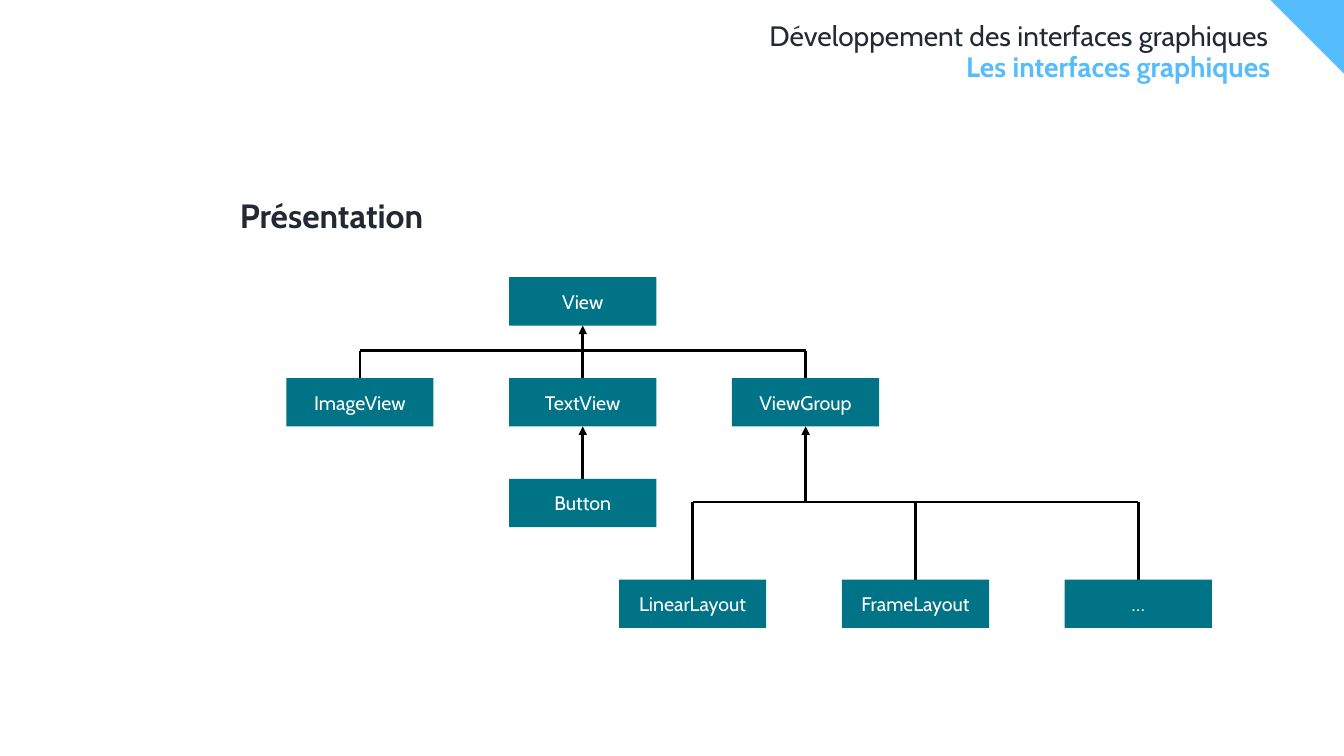
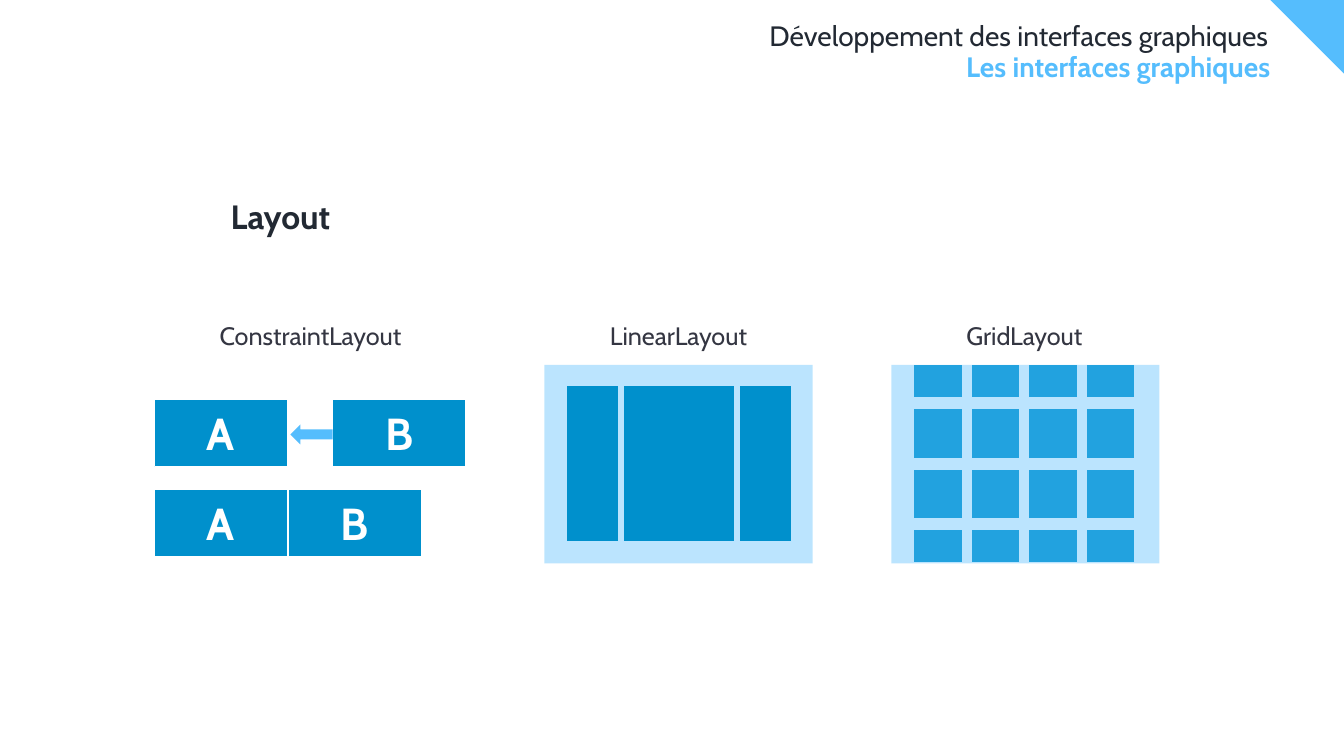
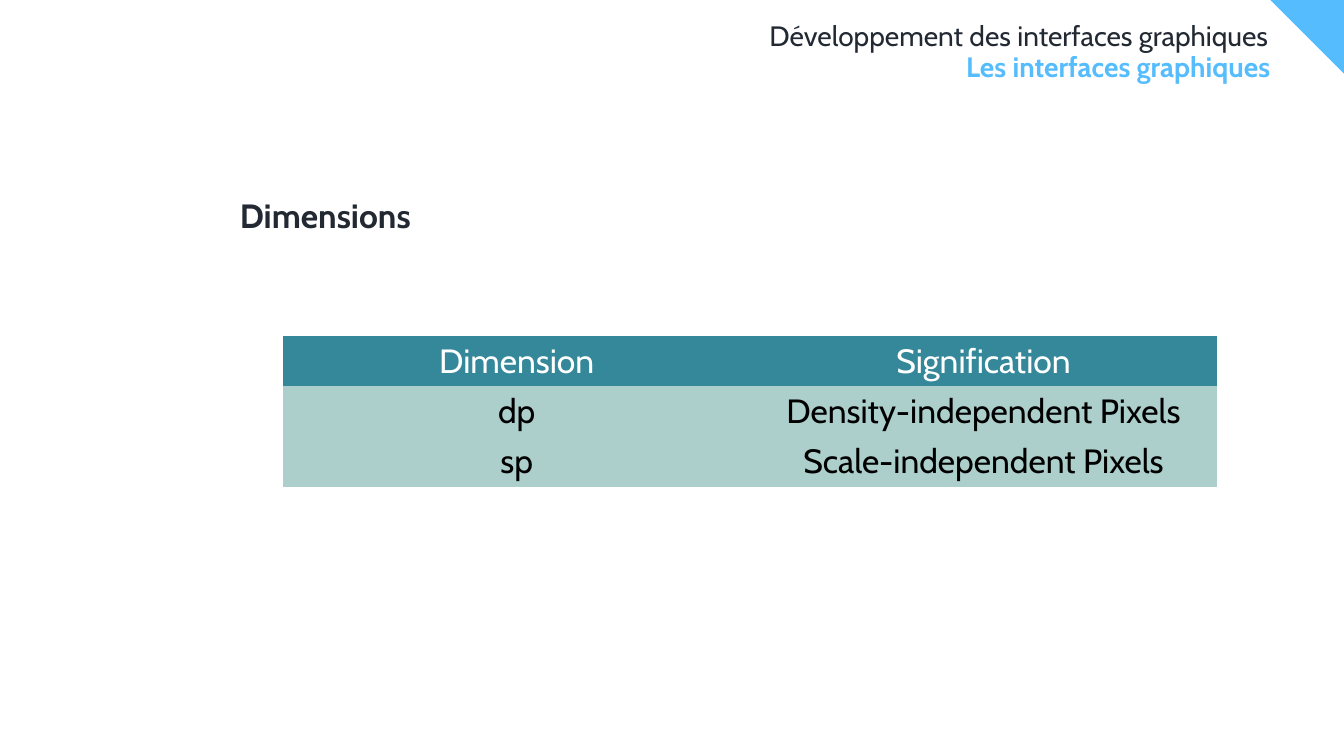
from itertools import accumulate

from lxml.etree import SubElement
from pptx import Presentation
from pptx.dml.color import RGBColor
from pptx.enum.shapes import MSO_CONNECTOR as Connector, MSO_SHAPE as Shape
from pptx.enum.text import MSO_ANCHOR as Anchor, PP_ALIGN as Align
from pptx.oxml.ns import qn
from pptx.util import Inches, Pt

FONT = "Cabin"
INK = "222933"
LABEL = "343642"
SKY = "55BDFD"
BLUE = "0090CC"
TEAL = "007386"
HEADER_FILL = "348899"
ROW_FILL = "ACCFCC"
WHITE = "FFFFFF"
BLACK = "000000"
PLAIN_TABLE = "{2D5ABB26-0587-4C30-8999-92F81FD0307C}"

NODE_WIDTH = 1.46
NODE_HEIGHT = 0.48
NODE_PITCH = 2.21


def paint(fill, color, alpha=None):
    fill.solid()
    fill.fore_color.rgb = RGBColor.from_string(color)
    if alpha is not None:
        value = fill._xPr.find(qn("a:solidFill"))[0]
        SubElement(value, qn("a:alpha")).set("val", str(alpha * 1000))


def write(frame, text, size, color, align=Align.LEFT, bold=False, spacing=None):
    para = frame.paragraphs[0]
    para.text = text
    para.alignment = align
    para.line_spacing = spacing
    para.font.name = FONT
    para.font.size = Pt(size)
    para.font.bold = bold
    paint(para.font.fill, color)


def add_text(page, at, text, size, color, align=Align.LEFT, bold=False,
             spacing=None, anchor=Anchor.TOP, inset=None):
    frame = page.shapes.add_textbox(*map(Inches, at)).text_frame
    frame.word_wrap = True
    frame.vertical_anchor = anchor
    if inset is not None:
        frame.margin_left = frame.margin_right = Inches(inset)
        frame.margin_top = frame.margin_bottom = Inches(inset)
    write(frame, text, size, color, align, bold, spacing)


def add_box(page, at, color, kind=Shape.FLOWCHART_PROCESS, alpha=None, border=None):
    box = page.shapes.add_shape(kind, *map(Inches, at))
    box.shadow.inherit = False
    paint(box.fill, color, alpha)
    if border:
        paint(box.line.fill, border)
        box.line.width = Pt(1)
    else:
        box.line.fill.background()
    return box


def add_text_box(page, at, color, text, size, kind=Shape.FLOWCHART_PROCESS,
                 bold=False, border=None):
    frame = add_box(page, at, color, kind, border=border).text_frame
    frame.vertical_anchor = Anchor.MIDDLE
    write(frame, text, size, WHITE, Align.CENTER, bold)


def add_line(page, start, end, arrow=False):
    line = page.shapes.add_connector(Connector.STRAIGHT, *map(Inches, start + end))
    paint(line.line.fill, BLACK)
    line.line.width = Pt(2)
    if arrow:
        SubElement(line.line._get_or_add_ln(), qn("a:tailEnd")).set("type", "triangle")
    SubElement(line._element.spPr, qn("a:effectLst"))


def add_page(deck, heading, left=2.28, top=1.93):
    page = deck.slides.add_slide(deck.slide_layouts[6])
    corner = page.shapes.build_freeform(Inches(12.6), 0, 1)
    corner.add_line_segments([(Inches(13.33), 0), (Inches(13.33), Inches(0.73))])
    triangle = corner.convert_to_shape()
    triangle.shadow.inherit = False
    paint(triangle.fill, SKY)
    triangle.line.fill.background()
    add_text(page, (0.37, 0.22, 12.21, 0.31), "Développement des interfaces graphiques",
             20, INK, Align.RIGHT, spacing=0.9, inset=0)
    add_text(page, (0.37, 0.53, 12.23, 0.43), "Les interfaces graphiques",
             20, SKY, Align.RIGHT, True, 0.9, inset=0)
    add_text(page, (left, top, 10.32, 0.5), heading, 24, INK, bold=True, spacing=0.9)
    return page


def add_node(page, center, top, name):
    at = (center - NODE_WIDTH / 2, top, NODE_WIDTH, NODE_HEIGHT)
    add_text_box(page, at, TEAL, name, 14, Shape.RECTANGLE)


def add_branch(page, parent, parent_bottom, centers, bar, children_top):
    add_line(page, (centers[0], bar), (centers[-1], bar))
    for center in centers:
        add_line(page, (center, bar), (center, children_top))
    add_line(page, (parent, bar), (parent, parent_bottom), True)


def build_hierarchy(deck):
    page = add_page(deck, "Présentation")
    uppers = [3.57 + NODE_PITCH * index for index in range(3)]
    lowers = [6.87 + NODE_PITCH * index for index in range(3)]
    middle, right = uppers[1:]
    view_top, widget_top, button_top, layout_top = 2.75, 3.75, 4.75, 5.75
    widget_bottom = widget_top + NODE_HEIGHT
    add_branch(page, middle, view_top + NODE_HEIGHT, uppers, 3.48, widget_top)
    add_branch(page, right, widget_bottom, lowers, 4.98, layout_top)
    add_line(page, (middle, button_top), (middle, widget_bottom), True)
    add_node(page, middle, view_top, "View")
    add_node(page, middle, button_top, "Button")
    for center, name in zip(uppers, ("ImageView", "TextView", "ViewGroup")):
        add_node(page, center, widget_top, name)
    for center, name in zip(lowers, ("LinearLayout", "FrameLayout", "…")):
        add_node(page, center, layout_top, name)


def add_panel(page, left):
    add_box(page, (left, 3.62, 2.66, 1.97), SKY, alpha=40)


def starts(first, sizes, gap):
    return accumulate((size + gap for size in sizes[:-1]), initial=first)


def draw_constraint_layout(page):
    for left, top, letter in ((1.53, 3.96, "A"), (3.3, 3.96, "B"),
                              (1.53, 4.85, "A"), (2.86, 4.85, "B")):
        add_text_box(page, (left, top, 1.32, 0.67), BLUE, letter, 32,
                     bold=True, border=WHITE)
    add_box(page, (2.88, 4.21, 0.42, 0.2), SKY, Shape.LEFT_ARROW)


def draw_linear_layout(page):
    add_panel(page, 5.4)
    widths = (0.51, 1.09, 0.51)
    for left, width in zip(starts(5.62, widths, 0.06), widths):
        add_box(page, (left, 3.83, width, 1.54), BLUE)


def draw_grid_layout(page):
    heights = (0.32, 0.48, 0.48, 0.32)
    for top, height in zip(starts(3.62, heights, 0.12), heights):
        for column in range(4):
            add_box(page, (9.07 + 0.57 * column, top, 0.47, height), BLUE)
    add_panel(page, 8.84)


def build_layouts(deck):
    page = add_page(deck, "Layout", 2.19, 1.94)
    for center, name in ((3.08, "ConstraintLayout"), (6.73, "LinearLayout"),
                         (10.16, "GridLayout")):
        add_text(page, (center - 1.22, 3.05, 2.44, 0.48), name, 18, LABEL,
                 Align.CENTER, anchor=Anchor.BOTTOM)
    draw_constraint_layout(page)
    draw_linear_layout(page)
    draw_grid_layout(page)


def build_dimensions(deck):
    page = add_page(deck, "Dimensions")
    rows = (("Dimension", "Signification"),
            ("dp", "Density-independent Pixels"),
            ("sp", "Scale-independent Pixels"))
    at = map(Inches, (2.81, 3.33, 9.26, 1.5))
    table = page.shapes.add_table(len(rows), 2, *at).table
    table.first_row = table.horz_banding = False
    table._tbl.tblPr.find(qn("a:tableStyleId")).text = PLAIN_TABLE
    for index, row in enumerate(rows):
        fill, color = (ROW_FILL, BLACK) if index else (HEADER_FILL, WHITE)
        for cell, text in zip(table.rows[index].cells, row):
            paint(cell.fill, fill)
            write(cell.text_frame, text, 24, color, Align.CENTER)


def main():
    deck = Presentation()
    deck.slide_width = Inches(13.33)
    deck.slide_height = Inches(7.5)
    build_hierarchy(deck)
    build_layouts(deck)
    build_dimensions(deck)
    deck.save("out.pptx")


if __name__ == "__main__":
    main()
